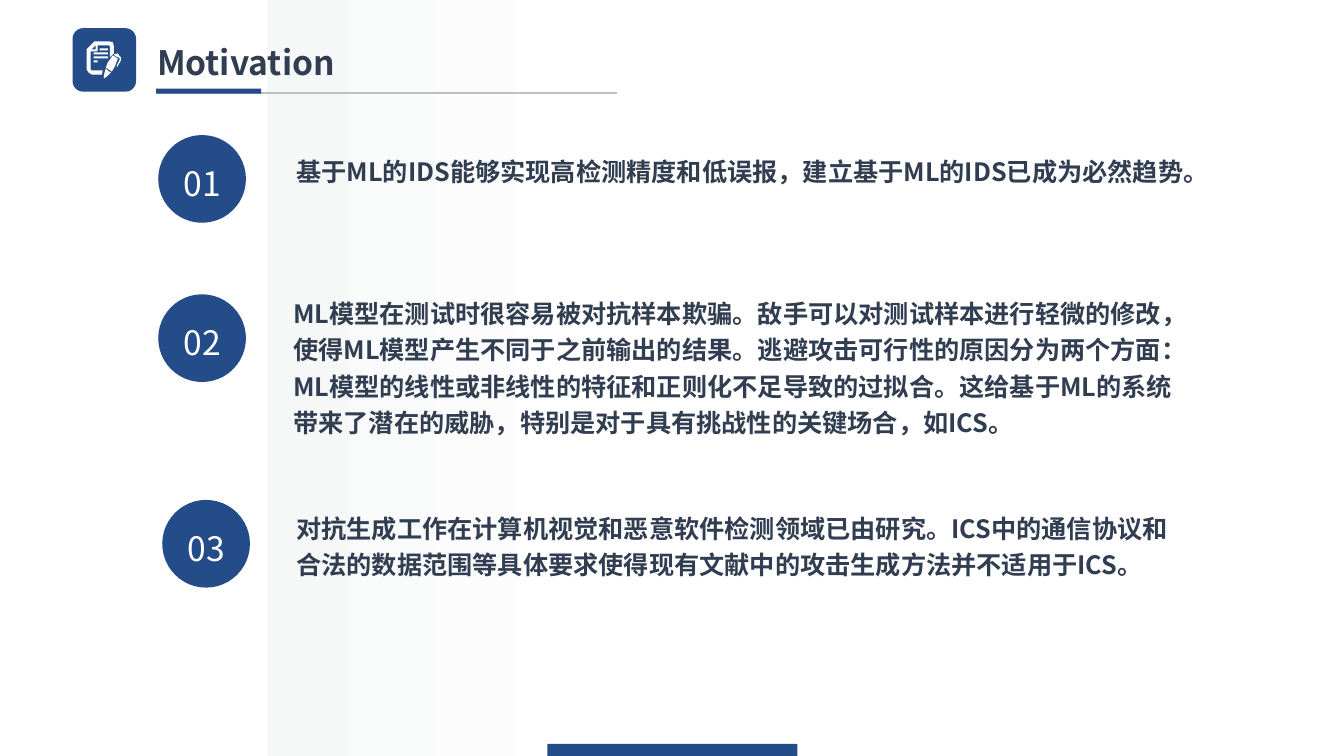
from lxml import etree
from pptx import Presentation
from pptx import util as u
from pptx.dml.color import RGBColor
from pptx.enum import shapes, text
from pptx.oxml import ns

NAVY = RGBColor(0x24, 0x4C, 0x89)
INK = RGBColor(0x31, 0x3D, 0x51)
WHITE = RGBColor(0xFF, 0xFF, 0xFF)
MIST = RGBColor(0xF6, 0xF7, 0xF7)
RULE_GREY = RGBColor(0xBF, 0xBF, 0xBF)
KIND = shapes.MSO_SHAPE


class Deck:
    """Holds the style and slide; lengths are columns and rows of a 0.1 inch grid."""

    font = "Noto Sans CJK SC"
    cell = 91440

    def __init__(self, columns, rows):
        self.show = Presentation()
        self.show.slide_width, self.show.slide_height = self.grid(columns, rows)
        self.slide = self.show.slides.add_slide(self.show.slide_layouts[6])

    def grid(self, *lengths):
        return [u.Emu(round(length * self.cell)) for length in lengths]

    def paint(self, shape, fill):
        shape.shadow.inherit = False
        shape.line.fill.background()
        shape.fill.solid()
        shape.fill.fore_color.rgb = fill
        return shape

    def block(self, kind, area, fill=NAVY):
        return self.paint(self.slide.shapes.add_shape(kind, *self.grid(*area)), fill)

    def fade(self, area, start, end, reach):
        band = self.block(KIND.RECTANGLE, area)
        band.fill.gradient()
        band.fill.gradient_angle = 0
        for stop, colour, position in zip(band.fill.gradient_stops, (start, end), (0, reach)):
            stop.color.rgb = colour
            stop.position = position

    def outline(self, contours, fill):
        first, *others = contours
        builder = self.slide.shapes.build_freeform(*first[0], scale=self.cell / 10)
        builder.add_line_segments(first[1:])
        for contour in others:
            builder.move_to(*contour[0])
            builder.add_line_segments(contour[1:])
        self.paint(builder.convert_to_shape(), fill)

    def rule(self, start, end, colour, weight):
        line = self.slide.shapes.add_connector(
            shapes.MSO_CONNECTOR.STRAIGHT, *self.grid(*start, *end))
        line.line.color.rgb = colour
        line.line.width = u.Pt(weight)
        etree.SubElement(line._element.spPr, ns.qn("a:effectLst"))

    def wording(self, frame, words, size, colour, bold=False, align=text.PP_ALIGN.LEFT):
        frame.word_wrap = True
        paragraph = frame.paragraphs[0]
        paragraph.alignment = align
        paragraph.line_spacing = 1.2
        run = paragraph.add_run()
        run.text = words
        run.font.size = u.Pt(size)
        run.font.bold = bold
        run.font.color.rgb = colour
        run.font.name = self.font
        etree.SubElement(run.font._element, ns.qn("a:ea"), typeface=self.font)

    def passage(self, area, words, size, inset=True):
        frame = self.slide.shapes.add_textbox(*self.grid(*area)).text_frame
        if not inset:
            frame.margin_left = frame.margin_right = frame.margin_top = frame.margin_bottom = 0
        self.wording(frame, words, size, INK, bold=True)

    def badge(self, left, top, number):
        disc = self.block(KIND.OVAL, (left, top, 8.7, 8.7))
        disc.text_frame.vertical_anchor = text.MSO_ANCHOR.MIDDLE
        self.wording(disc.text_frame, number, 24, WHITE, align=text.PP_ALIGN.CENTER)


def bar(left, top, right):
    """Return the contour of one line of writing on the page icon."""
    return [(left, top), (right, top), (right, top + 2), (left, top + 2), (left, top)]


PAGE = [(94, 41), (108, 41), (111.5, 42.5), (113, 46), (113, 53), (109, 57), (109, 46),
        (108, 45), (97, 45), (97, 50), (96, 51), (90, 51), (90, 69), (91, 70), (102, 70),
        (101, 74), (91, 74), (87.5, 72.5), (86, 69), (86, 49), (94, 41)]
FOLD = [(91, 49), (95, 49), (95, 45), (91, 49)]
PEN_CLIP = [(117, 53), (118, 55), (120, 57), (120, 60), (116, 67), (116, 65), (119, 59),
            (118, 57), (115, 56), (113, 54), (117, 53)]
PEN_BODY = [(117, 58), (114, 66), (111, 71), (108, 69), (105, 67), (107, 62), (112, 55),
            (115, 57), (117, 58)]
PEN_TIP = [(110, 72), (106, 76), (103, 78), (103, 75), (105, 68), (107, 70), (110, 72)]
WRITING = [bar(99, 48, 107), bar(93, 52, 107), bar(93, 56, 107), bar(93, 60, 97)]

REASONS = [
    ((15.7, 13.4), (29.4, 14.9, 89.7, 3.3),
     "基于ML的IDS能够实现高检测精度和低误报，建立基于ML的IDS已成为必然趋势。"),
    ((15.7, 29.2), (29.1, 29, 87.9, 14.2),
     "ML模型在测试时很容易被对抗样本欺骗。敌手可以对测试样本进行轻微的修改，"
     "使得ML模型产生不同于之前输出的结果。逃避攻击可行性的原因分为两个方面："
     "ML模型的线性或非线性的特征和正则化不足导致的过拟合。这给基于ML的系统带来了潜在的威胁，"
     "特别是对于具有挑战性的关键场合，如ICS。"),
    ((16.1, 49.6), (29.4, 50.3, 87.9, 6.9),
     "对抗生成工作在计算机视觉和恶意软件检测领域已由研究。"
     "ICS中的通信协议和合法的数据范围等具体要求使得现有文献中的攻击生成方法并不适用于ICS。"),
]


def main():
    """Build the motivation slide."""
    deck = Deck(133.33, 75)
    deck.fade((26.5, 0, 40.1, 75), MIST, WHITE, 0.82)
    deck.block(KIND.RECTANGLE, (54.3, 73.8, 24.8, 1.2))

    deck.block(KIND.ROUNDED_RECTANGLE, (7.2, 2.8, 6.3, 6.3))
    deck.outline([PAGE, FOLD, PEN_CLIP, PEN_BODY, PEN_TIP, *WRITING], WHITE)
    deck.passage((14.6, 2.9, 32.2, 5.6), "Motivation", 24)
    deck.rule((61.2, 9.2), (15.7, 9.2), RULE_GREY, 1.5)
    deck.block(KIND.RECTANGLE, (15.5, 8.8, 10.4, 0.5))

    for order, (corner, area, reason) in enumerate(REASONS, 1):
        deck.badge(*corner, f"{order:02}")
        deck.passage(area, reason, 18, inset=False)

    deck.show.save("out.pptx")


if __name__ == "__main__":
    main()
